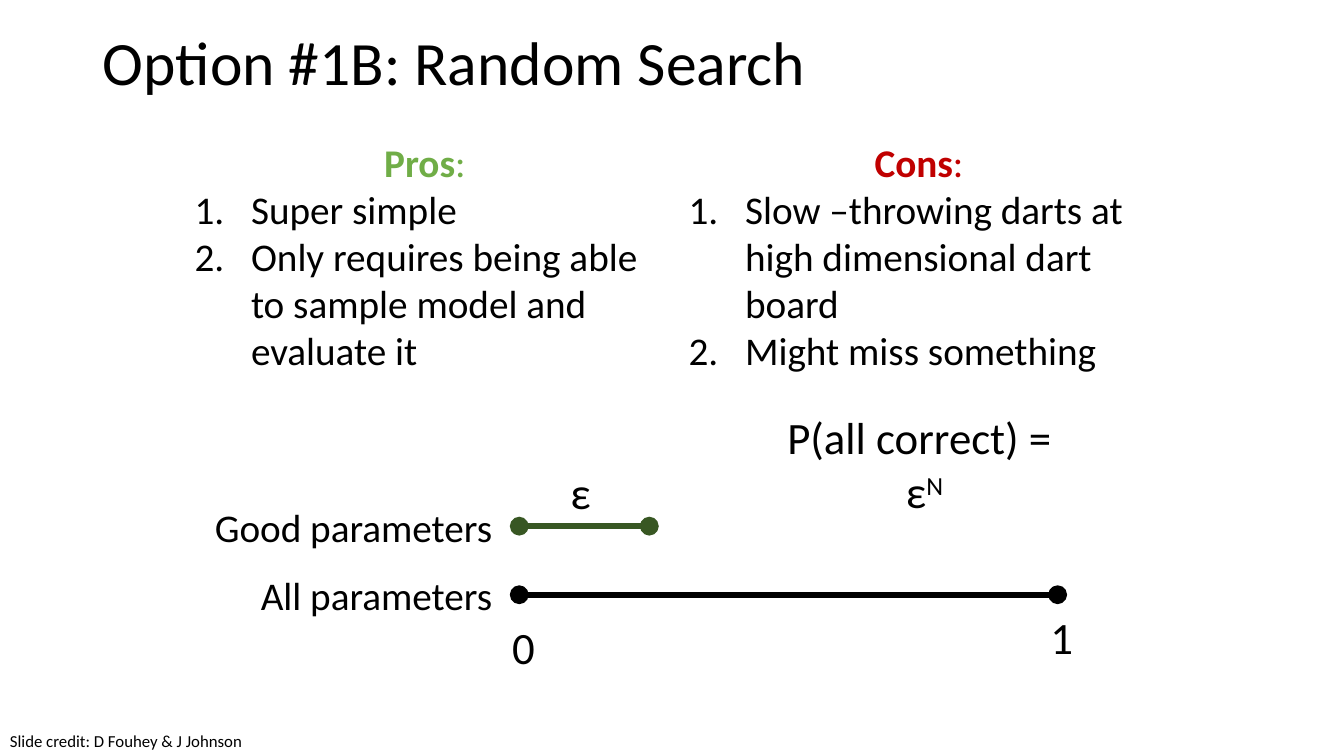
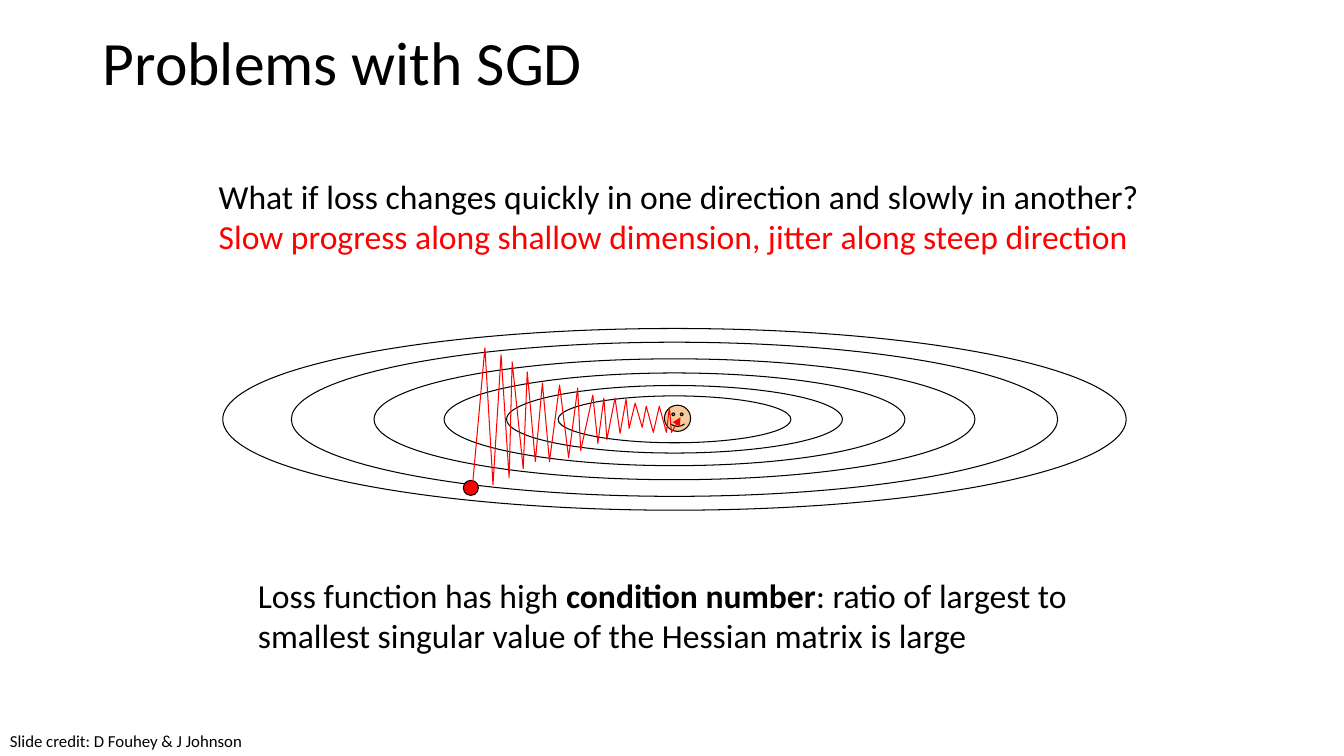
import lxml.etree
import pptx
import pptx.dml.color
import pptx.enum.shapes
import pptx.enum.text
import pptx.oxml.ns
import pptx.util

Inches = pptx.util.Inches
Pt = pptx.util.Pt
ALIGN = pptx.enum.text.PP_ALIGN
ANCHOR = pptx.enum.text.MSO_ANCHOR
SHAPE = pptx.enum.shapes.MSO_SHAPE

BLACK = pptx.dml.color.RGBColor(0x00, 0x00, 0x00)
RED = pptx.dml.color.RGBColor(0xFF, 0x00, 0x00)
PRO_GREEN = pptx.dml.color.RGBColor(0x70, 0xAD, 0x47)
CON_RED = pptx.dml.color.RGBColor(0xC0, 0x00, 0x00)
RANGE_GREEN = pptx.dml.color.RGBColor(0x38, 0x57, 0x23)
SKIN = pptx.dml.color.RGBColor(0xF9, 0xCB, 0x9C)

TWO_CONTENT, TITLE_ONLY = 3, 5  # layouts of the default template
CREDIT = "Slide credit: D Fouhey & J Johnson"
LIST_INDENT = 0.56


def add_xml(parent, tag, **attributes):
    return lxml.etree.SubElement(parent, pptx.oxml.ns.qn(tag), attributes)


def set_all(target, values):
    for name, value in values.items():
        setattr(target, name, value)


class Deck:
    """Shared style and the slide being built."""

    font_name = "Calibri"
    outline = 0.75
    range_width = 4.5

    def __init__(self):
        self.presentation = pptx.Presentation()
        set_all(self.presentation,
                {"slide_width": Inches(13.33), "slide_height": Inches(7.5)})
        self.slide = None

    def start(self, layout, title):
        """Add a slide with its title and the credit line."""
        layouts = self.presentation.slide_layouts
        self.slide = self.presentation.slides.add_slide(layouts[layout])
        heading = self.slide.shapes.title
        self.place(heading, 0.92, 0.2, 11.5, 0.9)
        self.frame(heading, vertical_anchor=ANCHOR.MIDDLE)
        self.fill_paragraph(heading.text_frame.paragraphs[0], [title], 44,
                            align=ALIGN.LEFT, line_spacing=0.9)
        self.text([[CREDIT]], (0, 7.2, 2.53, 0.3), 12, wrap=False)

    def place(self, shape, left, top, width, height):
        set_all(shape, {"left": Inches(left), "top": Inches(top),
                        "width": Inches(width), "height": Inches(height)})

    def frame(self, shape, **changes):
        values = {"word_wrap": True, "vertical_anchor": ANCHOR.TOP,
                  "auto_size": pptx.enum.text.MSO_AUTO_SIZE.NONE}
        set_all(shape.text_frame, {**values, **changes})

    def fill_paragraph(self, paragraph, pieces, size, color=BLACK,
                       align=ALIGN.LEFT, line_spacing=1.0):
        """Fill a paragraph; a piece is text or (text, font values)."""
        set_all(paragraph, {"alignment": align, "line_spacing": line_spacing,
                            "space_before": Pt(0), "space_after": Pt(0)})
        for piece in pieces:
            content, changes = (piece, {}) if isinstance(piece, str) else piece
            run = paragraph.add_run()
            run.text = content
            values = {"name": self.font_name, "size": Pt(size), "bold": False}
            set_all(run.font, {**values, **changes})
            run.font.color.rgb = color
        return paragraph

    def text(self, lines, box, size, align=ALIGN.LEFT, colors=(BLACK,),
             wrap=True, inset=0.05):
        label = self.slide.shapes.add_textbox(*map(Inches, box))
        self.frame(label, word_wrap=wrap, margin_top=Inches(inset),
                   margin_bottom=Inches(inset))
        for i, pieces in enumerate(lines):
            paragraphs = label.text_frame.paragraphs
            paragraph = label.text_frame.add_paragraph() if i else paragraphs[0]
            self.fill_paragraph(paragraph, pieces, size,
                                colors[i % len(colors)], align)
        return label

    def numbered_list(self, index, left, heading, color, items):
        """Coloured heading over a numbered list in a body placeholder."""
        body = self.slide.placeholders[index]
        self.place(body, left, 1.32, 4.77, 2.46)
        self.frame(body)
        top = self.fill_paragraph(body.text_frame.paragraphs[0],
                                  [(heading, {"bold": True}), ":"], 28, color,
                                  ALIGN.CENTER)
        self.bullet(top, 0, "a:buNone")
        for item in items:
            paragraph = self.fill_paragraph(body.text_frame.add_paragraph(),
                                            [item], 28)
            self.bullet(paragraph, LIST_INDENT, "a:buAutoNum",
                        type="arabicPeriod")

    def bullet(self, paragraph, indent, tag, **attributes):
        properties = paragraph._p.get_or_add_pPr()
        properties.set("marL", str(Inches(indent)))
        properties.set("indent", str(-Inches(indent)))
        if tag == "a:buAutoNum":
            add_xml(properties, "a:buFont", typeface="+mj-lt")
        add_xml(properties, tag, **attributes)

    def stroke(self, shape, color, width, **ends):
        shape.line.color.rgb = color
        shape.line.width = Pt(width)
        for tag, kind in ends.items():
            add_xml(shape.line._get_or_add_ln(), f"a:{tag}", type=kind)

    def number_range(self, left, right, y, color):
        line = self.slide.shapes.add_connector(
            pptx.enum.shapes.MSO_CONNECTOR.STRAIGHT,
            *map(Inches, (left, y, right, y)))
        self.stroke(line, color, self.range_width, headEnd="oval",
                    tailEnd="oval")
        add_xml(line._element.spPr, "a:effectLst")

    def centred_shape(self, kind, center, width, height, fill=None):
        x, y = center
        shape = self.slide.shapes.add_shape(
            kind, *map(Inches, (x - width / 2, y - height / 2, width, height)))
        shape.shadow.inherit = False
        if fill is None:
            shape.fill.background()
        else:
            shape.fill.solid()
            shape.fill.fore_color.rgb = fill
        self.stroke(shape, BLACK, self.outline)

    def zigzag(self, points, color):
        start, *rest = [(Inches(x), Inches(y)) for x, y in points]
        builder = self.slide.shapes.build_freeform(*start)
        builder.add_line_segments(rest, close=False)
        route = builder.convert_to_shape()
        route.shadow.inherit = False
        route.fill.background()
        self.stroke(route, color, self.outline, tailEnd="triangle")


def random_search(deck):
    deck.start(TWO_CONTENT, "Option #1B: Random Search")
    deck.numbered_list(1, 1.83, "Pros", PRO_GREEN, [
        "Super simple",
        "Only requires being able to sample model and evaluate it"])
    deck.numbered_list(2, 6.73, "Cons", CON_RED, [
        "Slow –throwing darts at high dimensional dart board",
        "Might miss something"])

    # Good range against the whole range
    ranges = [("Good parameters", 6.44, 5.22, RANGE_GREEN),
              ("All parameters", 10.49, 5.9, BLACK)]
    for name, right, y, color in ranges:
        deck.text([[name]], (1.67, y - 0.28, 3.31, 0.57), 28, ALIGN.RIGHT)
        deck.number_range(5.15, right, y, color)
    for mark, left, top in [("0", 4.98, 6.1), ("1", 10.32, 6), ("ε", 5.56, 4.56)]:
        deck.text([[mark]], (left, top, 0.48, 0.64), 32)

    # Chance that all parameters are good
    chance = deck.text([["P(all correct) = "], ["ε", "N"]],
                       (7.3, 4.02, 3.74, 1.18), 32, ALIGN.CENTER)
    exponent = chance.text_frame.paragraphs[1].runs[1]
    exponent._r.get_or_add_rPr().set("baseline", "30000")


def sgd_problems(deck):
    deck.start(TITLE_ONLY, "Problems with SGD")

    # Level sets of the loss, all of one aspect ratio
    for width in (8.96, 7.6, 5.96, 4.57, 3.33, 2.31):
        deck.centred_shape(SHAPE.OVAL, (6.69, 4.16), width, width / 4.97)

    # Start, minimum and the jittering descent between them
    deck.centred_shape(SHAPE.OVAL, (4.67, 4.84), 0.15, 0.15, RED)
    deck.centred_shape(SHAPE.SMILEY_FACE, (6.72, 4.15), 0.26, 0.26, SKIN)
    deck.zigzag([
        (4.69, 4.78), (4.81, 3.45), (4.89, 4.81), (4.97, 3.52),
        (5.05, 4.74), (5.08, 3.59), (5.19, 4.65), (5.23, 3.69),
        (5.31, 4.58), (5.38, 3.8), (5.45, 4.58), (5.55, 3.82),
        (5.64, 4.54), (5.73, 3.85), (5.76, 4.47), (5.88, 3.92),
        (5.93, 4.4), (5.99, 3.95), (6.02, 4.36), (6.1, 3.95),
        (6.15, 4.3), (6.21, 3.96), (6.24, 4.25), (6.3, 4),
        (6.37, 4.24), (6.41, 4.03), (6.48, 4.29), (6.54, 4.03),
        (6.61, 4.29), (6.64, 4.04), (6.66, 4.29), (6.75, 4.14)], RED)

    # Question with its answer, and the reason
    deck.text([
        ["What if loss changes quickly in one direction and slowly in another?"],
        ["Slow progress along shallow dimension, jitter along steep direction"]],
        (2.07, 1.64, 9.42, 1.09), 24, colors=(BLACK, RED), inset=0.1)
    deck.text([[
        "Loss function has high ", ("condition number", {"bold": True}),
        ": ratio of largest to smallest singular value of the Hessian matrix"
        " is large"]], (2.46, 5.6, 8.57, 0.98), 24, inset=0.1)


def main():
    deck = Deck()
    random_search(deck)
    sgd_problems(deck)
    deck.presentation.save("out.pptx")


if __name__ == "__main__":
    main()
